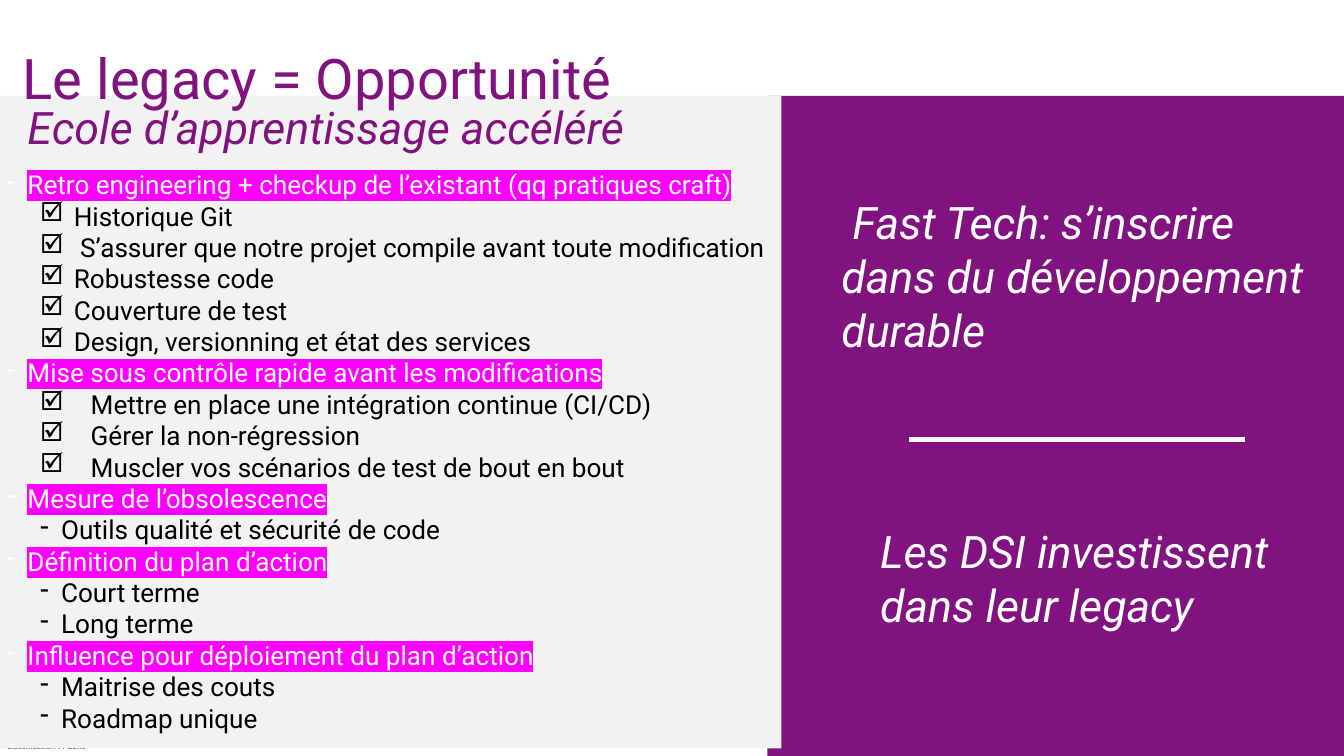
from dataclasses import dataclass

from lxml.etree import SubElement
from pptx import Presentation
from pptx.dml.color import RGBColor
from pptx.enum.shapes import MSO_CONNECTOR, MSO_SHAPE
from pptx.enum.text import MSO_AUTO_SIZE
from pptx.oxml.ns import qn
from pptx.slide import Slide
from pptx.text.text import TextFrame
from pptx.util import Cm, Pt


@dataclass(frozen=True)
class Theme:
    purple: str = "80137F"
    grey: str = "F2F2F2"
    white: str = "FFFFFF"
    black: str = "000000"
    magenta: str = "FF00FF"
    font: str = "Roboto"
    footer_font: str = "Calibri"
    title: int = 60
    quote: int = 48
    body: int = 28
    footer: int = 10
    rule: int = 6


@dataclass(frozen=True)
class Box:
    x: float
    y: float
    w: float
    h: float

    def lengths(self) -> tuple[Cm, Cm, Cm, Cm]:
        return Cm(self.x), Cm(self.y), Cm(self.w), Cm(self.h)


@dataclass(frozen=True)
class Bullet:
    char: str
    margin: float
    hanging: float
    level: int = 1


@dataclass(frozen=True)
class Section:
    heading: str
    bullet: Bullet
    items: tuple[str, ...]


T = Theme()
HEADING = Bullet("-", 0.79, 0.79, level=0)
DASH = Bullet("-", 2.06, 0.79)
CHECK = Bullet("☑", 2.54, 1.27)
WIDE_CHECK = Bullet("☑", 3.18, 1.91)

SECTIONS = (
    Section("Retro engineering + checkup de l’existant (qq pratiques craft)", CHECK, (
        "Historique Git",
        " S’assurer que notre projet compile avant toute modification",
        "Robustesse code",
        "Couverture de test",
        "Design, versionning et état des services",
    )),
    Section("Mise sous contrôle rapide avant les modifications", WIDE_CHECK, (
        "Mettre en place une intégration continue (CI/CD)",
        "Gérer la non-régression",
        "Muscler vos scénarios de test de bout en bout",
    )),
    Section("Mesure de l’obsolescence", DASH, ("Outils qualité et sécurité de code",)),
    Section("Définition du plan d’action", DASH, ("Court terme", "Long terme")),
    Section("Influence pour déploiement du plan d’action", DASH,
            ("Maitrise des couts", "Roadmap unique")),
)


def add_panel(s: Slide, box: Box, color: str) -> None:
    sp = s.shapes.add_shape(MSO_SHAPE.RECTANGLE, *box.lengths())
    sp.shadow.inherit = False
    sp.fill.solid()
    sp.fill.fore_color.rgb = RGBColor.from_string(color)
    sp.line.fill.background()


def add_frame(s: Slide, box: Box, inset: bool = True) -> TextFrame:
    tf = s.shapes.add_textbox(*box.lengths()).text_frame
    tf.word_wrap = True
    tf.auto_size = MSO_AUTO_SIZE.SHAPE_TO_FIT_TEXT
    if not inset:
        tf.margin_left = tf.margin_top = tf.margin_right = tf.margin_bottom = 0
    return tf


def write(tf: TextFrame, text: str, *, size: int, color: str, font: str = T.font,
          italic: bool = False, highlight: str | None = None,
          bullet: Bullet | None = None, spacing: int | None = None) -> None:
    """Fill the first paragraph if it is empty, otherwise append one."""
    p = tf.paragraphs[0] if not tf.paragraphs[0].runs else tf.add_paragraph()
    if spacing:
        p.line_spacing = Pt(spacing)
    if bullet:
        p.level = bullet.level
        pPr = p._p.get_or_add_pPr()
        pPr.set("marL", str(Cm(bullet.margin)))
        pPr.set("indent", str(-Cm(bullet.hanging)))
        SubElement(pPr, qn("a:buChar"), char=bullet.char)
    r = p.add_run()
    r.text = text
    r.font.size = Pt(size)
    r.font.italic = italic
    r.font.color.rgb = RGBColor.from_string(color)
    if highlight:
        mark = SubElement(r._r.get_or_add_rPr(), qn("a:highlight"))
        SubElement(mark, qn("a:srgbClr"), val=highlight)
    r.font.name = font


def add_rule(s: Slide, x1: float, x2: float, y: float) -> None:
    ln = s.shapes.add_connector(MSO_CONNECTOR.STRAIGHT, Cm(x1), Cm(y), Cm(x2), Cm(y))
    ln.line.color.rgb = RGBColor.from_string(T.white)
    ln.line.width = Pt(T.rule)
    SubElement(ln._element.spPr, qn("a:effectLst"))


def add_sections(s: Slide, box: Box) -> None:
    tf = add_frame(s, box)
    for section in SECTIONS:
        write(tf, section.heading, size=T.body, color=T.white,
              highlight=T.magenta, bullet=HEADING)
        for item in section.items:
            write(tf, item, size=T.body, color=T.black, bullet=section.bullet)


def main() -> None:
    prs = Presentation()
    prs.slide_width, prs.slide_height = Cm(50.8), Cm(28.58)
    s = prs.slides.add_slide(prs.slide_layouts[6])

    write(add_frame(s, Box(0.26, 27.99, 3.2, 0.42), inset=False),
          "Classification : Public", size=T.footer, color=T.black, font=T.footer_font)
    add_panel(s, Box(29.01, 3.63, 21.79, 24.95), T.purple)
    add_panel(s, Box(0, 3.63, 29.54, 24.66), T.grey)

    for text, box, color in (
        ("Les DSI investissent dans leur legacy", Box(33.02, 19.69, 16.84, 4.37), T.white),
        ("Ecole d’apprentissage accéléré", Box(0.79, 3.63, 25.88, 2.31), T.purple),
        (" Fast Tech: s’inscrire dans du développement durable",
         Box(31.55, 7.24, 18.42, 6.4), T.white),
    ):
        write(add_frame(s, box), text, size=T.quote, color=color, italic=True)

    write(add_frame(s, Box(0.86, -3.23, 50.6, 6.17), inset=False),
          "Le legacy = Opportunité", size=T.title, color=T.purple, spacing=210)
    add_sections(s, Box(0, 6.25, 30.68, 25.4))
    add_rule(s, 34.34, 47.04, 16.61)
    prs.save("out.pptx")


if __name__ == "__main__":
    main()
